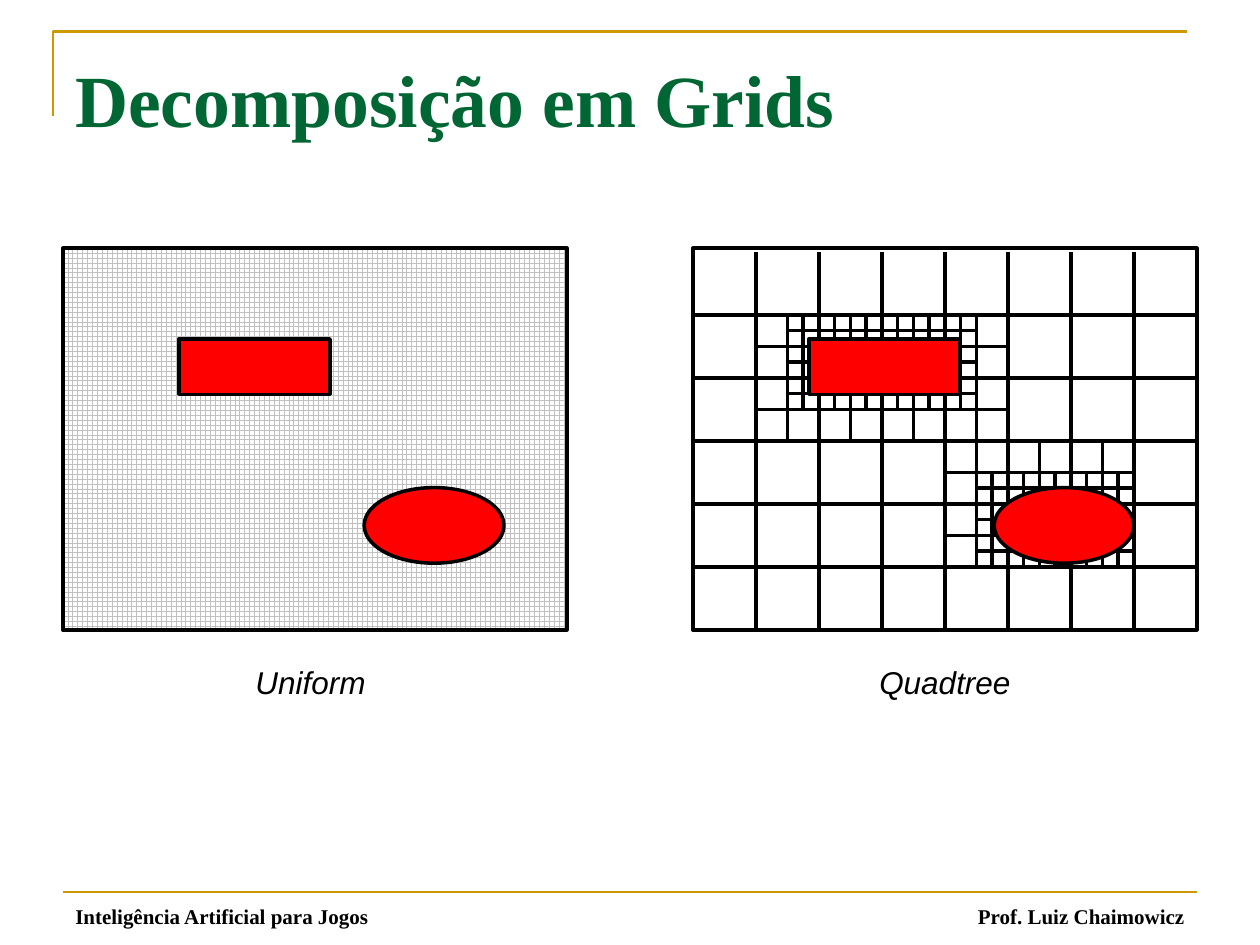
import pptx
import pptx.util
import pptx.dml.color
import pptx.enum.dml
import pptx.enum.shapes
import pptx.enum.text
import pptx.oxml.ns
import lxml.etree

Inches = pptx.util.Inches
SHAPE = pptx.enum.shapes.MSO_SHAPE
ALIGN = pptx.enum.text.PP_ALIGN
ANCHOR = pptx.enum.text.MSO_ANCHOR
COLORS = {"title": "006633", "rule": "CC9900", "ink": "000000",
          "obstacle": "FF0000", "grid": "C0C0C0", "paper": "FFFFFF"}


def rgb(name):
    """Return the named colour."""
    return pptx.dml.color.RGBColor.from_string(COLORS[name])


def set_line(sp, color="ink", width=2):
    """Set the outline of a shape or connector."""
    sp.line.color.rgb = rgb(color)
    sp.line.width = pptx.util.Pt(width)


def add_line(shapes, x1, y1, x2, y2, color="ink", width=2):
    """Draw a straight line without shadow."""
    sp = shapes.add_connector(pptx.enum.shapes.MSO_CONNECTOR.STRAIGHT,
                              Inches(x1), Inches(y1), Inches(x2), Inches(y2))
    set_line(sp, color, width)
    lxml.etree.SubElement(sp._element.spPr, pptx.oxml.ns.qn("a:effectLst"))


def add_box(shapes, kind, x, y, w, h, fill=None):
    """Draw an outlined preset shape, filled if a colour is named."""
    sp = shapes.add_shape(kind, Inches(x), Inches(y), Inches(w), Inches(h))
    sp.shadow.inherit = False
    set_line(sp)
    if fill:
        sp.fill.solid()
        sp.fill.fore_color.rgb = rgb(fill)
    else:
        sp.fill.background()
    return sp


def add_text(s, text, x, y, w, h, size, font="Times New Roman", color="ink",
             bold=False, italic=False, align=ALIGN.LEFT, anchor=ANCHOR.TOP, wrap=True):
    """Place one line of text in a box."""
    tf = s.shapes.add_textbox(Inches(x), Inches(y), Inches(w), Inches(h)).text_frame
    tf.word_wrap = wrap
    tf.vertical_anchor = anchor
    p = tf.paragraphs[0]
    p.alignment = align
    r = p.add_run()
    r.text = text
    r.font.name, r.font.size = font, pptx.util.Pt(size)
    r.font.bold, r.font.italic = bold, italic
    r.font.color.rgb = rgb(color)


def add_header(s, x, y, w, h):
    """Draw the corner rule and the title."""
    fb = s.shapes.build_freeform(Inches(x), Inches(y + h))
    fb.add_line_segments([(Inches(x), Inches(y)), (Inches(x + w), Inches(y))], close=False)
    sp = fb.convert_to_shape()
    sp.shadow.inherit = False
    sp.fill.background()
    set_line(sp, "rule", 1.5)
    add_text(s, "Decomposição em Grids", x + 0.08, y + 0.05, w, 0.95, 42,
             color="title", bold=True, anchor=ANCHOR.MIDDLE)


def add_footer(s, x, y, w):
    """Draw the bottom rule with the course and the teacher."""
    add_line(s.shapes, x, y, x + w, y, "rule", 1.5)
    for text, left, width, align in (
            ("Prof. Luiz Chaimowicz", x + w - 2.33, 2.33, ALIGN.RIGHT),
            ("Inteligência Artificial para Jogos", x, 2.83, ALIGN.LEFT)):
        add_text(s, text, left, y + 0.09, width, 0.25, 12, bold=True,
                 align=align, anchor=ANCHOR.BOTTOM)


def add_obstacles(shapes, x, y):
    """Draw the two obstacles of a map."""
    add_box(shapes, SHAPE.RECTANGLE, x + 0.92, y + 0.72, 1.2, 0.44, "obstacle")
    add_box(shapes, SHAPE.OVAL, x + 2.39, y + 1.9, 1.11, 0.6, "obstacle")


def add_uniform(s, x, y, w, h):
    """Draw the map with a fine uniform grid."""
    shapes = s.shapes.add_group_shape().shapes
    sp = add_box(shapes, SHAPE.RECTANGLE, x, y, w, h)
    sp.fill.patterned()
    sp.fill.pattern = pptx.enum.dml.MSO_PATTERN.LARGE_GRID
    sp.fill.fore_color.rgb = rgb("grid")
    sp.fill.back_color.rgb = rgb("paper")
    add_obstacles(shapes, x, y)


def add_splits(shapes, x, y, step, rows, columns):
    """Draw parallel lines: each family is first, count, start and end."""
    first, count, start, end = rows
    for i in range(count):
        at = y + first + i * step
        add_line(shapes, x + start, at, x + end, at)
    first, count, start, end = columns
    for i in range(count):
        at = x + first + i * step
        add_line(shapes, at, y + start, at, y + end)


def add_quadtree(s, x, y, w, h):
    """Draw the map split more finely around the obstacles."""
    shapes = s.shapes.add_group_shape().shapes
    add_box(shapes, SHAPE.RECTANGLE, x, y, w, h)
    top = y + h - 3
    for step, rows, columns in (
            (0.5, (0.5, 5, 0, w), (0.5, 7, 0, 3)),
            (0.5, (0.75, 2, 0.5, 2.5), (0.75, 4, 0.5, 1.5)),
            (0.5, (1.75, 2, 2, 3.5), (2.25, 3, 1.5, 2.5)),
            (0.25, (0.625, 3, 0.75, 2.25), (0.875, 6, 0.5, 1.25)),
            (0.25, (1.875, 3, 2.25, 3.5), (2.375, 5, 1.75, 2.5))):
        add_splits(shapes, x, top, step, rows, columns)
    add_obstacles(shapes, x, y)


def main():
    """Build the slide and save it."""
    prs = pptx.Presentation()
    prs.slide_width, prs.slide_height = Inches(10), Inches(7.5)
    s = prs.slides.add_slide(prs.slide_layouts[6])
    add_header(s, 0.42, 0.25, 9, 0.67)
    add_footer(s, 0.5, 7.08, 9)
    for draw, x, label in ((add_uniform, 0.5, "Uniform "), (add_quadtree, 5.5, "Quadtree")):
        draw(s, x, 1.97, 4, 3.03)
        add_text(s, label, x + 1.38, 5.21, 1.24, 0.4, 18, "Arial",
                 italic=True, align=ALIGN.CENTER, wrap=False)
    prs.save("out.pptx")


if __name__ == "__main__":
    main()
